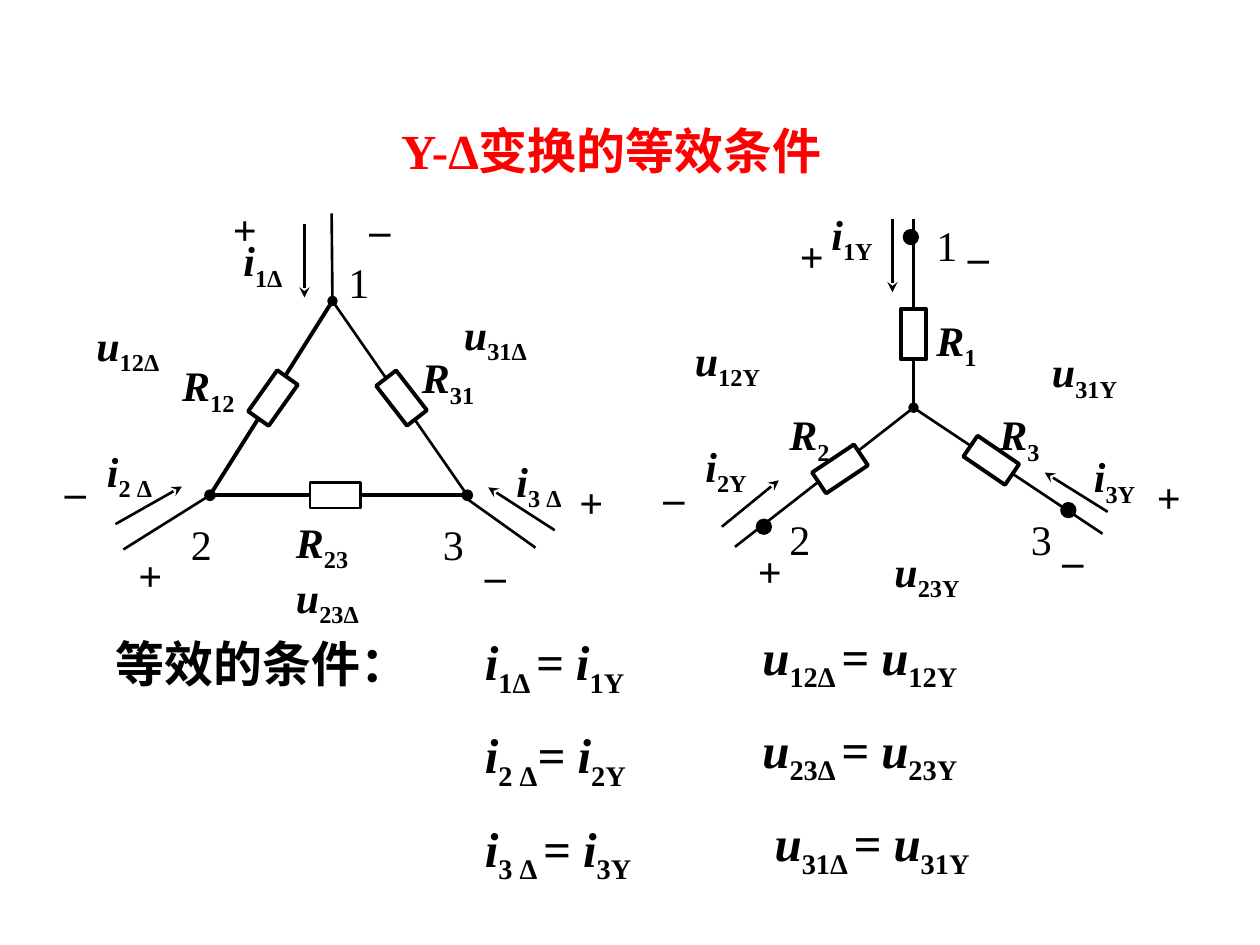
from lxml import etree
from pptx import Presentation
from pptx.dml.color import RGBColor
from pptx.enum.shapes import MSO_CONNECTOR, MSO_SHAPE
from pptx.enum.text import MSO_ANCHOR, PP_ALIGN
from pptx.oxml.ns import qn
from pptx.util import Pt

STRAIGHT = MSO_CONNECTOR.STRAIGHT
RECTANGLE, OVAL = MSO_SHAPE.RECTANGLE, MSO_SHAPE.OVAL
TOP, MIDDLE, LEFT = MSO_ANCHOR.TOP, MSO_ANCHOR.MIDDLE, PP_ALIGN.LEFT

FONT = "Times New Roman"
COLORS = {"ink": "000000", "title": "FF0000", "paper": "FFFFFF"}
TITLE = "Y-Δ变换的等效条件"
CONDITION = "等效的条件："

# Circuit nodes
DELTA_1, DELTA_2, DELTA_3 = (190, 172), (120, 283), (267, 283)
STAR = (522, 233)

# start, end, width, head, tail
WIRES = [
    (DELTA_2, DELTA_3, 2.25, "oval", "oval"),
    (DELTA_3, DELTA_1, 1.5, "oval", "oval"),
    (DELTA_1, DELTA_2, 2.25, None, None),
    (DELTA_1, (189.5, 122), 1.5, None, None),
    (DELTA_2, (70.5, 314), 1.5, None, None),
    ((264, 283), (306, 313), 1.5, None, None),
    ((522, 125), STAR, 1.5, None, "oval"),
    (STAR, (420, 312.5), 1.5, None, None),
    (STAR, (630, 305), 1.5, None, None),
]
CURRENT_ARROWS = [
    ((174, 128), (174, 170)),
    ((66, 299.5), (104, 278)),
    ((317, 303), (279, 278.5)),
    ((510, 125), (510, 167)),
    ((412.5, 301), (445, 274.5)),
    ((633, 292.5), (597, 270)),
]
# centre x, centre y, rotation, outline width
RESISTORS = [
    (191.5, 283, 270, 1.5), (229.5, 227.5, 322.2, 2.25), (156, 227.5, 35.3, 2.25),
    (480, 268, 56.2, 2.25), (566.5, 263, 304.3, 2.25), (522, 191, 0, 2.25),
]
TERMINALS = [(436.5, 301), (520.5, 135.5), (610.5, 291.5)]

# symbol, subscript, left, top
QUANTITIES = [
    ("R", "12", 97, 199.5), ("R", "31", 234, 195), ("R", "23", 162, 289),
    ("i", "1Δ", 132, 128), ("i", "2 Δ", 54, 248.5), ("i", "3 Δ", 288, 254),
    ("u", "12Δ", 48, 176.5), ("u", "23Δ", 162, 320.5), ("u", "31Δ", 258, 170),
    ("R", "1", 528, 173.5), ("R", "2", 444, 227.5), ("R", "3", 564, 227.5),
    ("i", "1Y", 468, 113), ("i", "2Y", 396, 245.5), ("i", "3Y", 618, 251.5),
    ("u", "12Y", 390, 185), ("u", "23Y", 504, 305.5), ("u", "31Y", 594, 191.5),
]
NODE_NUMBERS = [
    ("1", 192, 140.5), ("2", 102, 290), ("3", 246, 290),
    ("1", 528, 119.5), ("2", 444, 287.5), ("3", 582, 287.5),
]
SIGNS = [
    ("+", 126, 110), ("+", 72, 308), ("+", 324, 266.5),
    ("–", 204, 110), ("–", 30, 260), ("–", 270, 308),
    ("+", 450, 125.5), ("+", 426, 305.5), ("+", 654, 263.5),
    ("–", 372, 263.5), ("–", 600, 299.5), ("–", 546, 125.5),
]
# left, top, width, rows of (symbol, delta subscript, star subscript, indent)
EQUATIONS = [
    (270, 355, 125, [("i", "1Δ ", "1Y", 0), ("i", "2 Δ", "2Y", 0), ("i", "3 Δ ", "3Y", 0)]),
    (428.5, 352, 145, [("u", "12Δ ", "12Y", 0), ("u", "23Δ ", "23Y", 0), ("u", "31Δ ", "31Y", 7)]),
]


def style(span, size, color="ink", bold=True, italic=False):
    span.font.name = FONT
    span.font.size = Pt(size)
    span.font.bold = bold
    span.font.italic = italic
    span.font.color.rgb = RGBColor.from_string(COLORS[color])


def add_symbols(para, pieces, size):
    """Alternate italic symbols with upright subscripts."""
    for index, text in enumerate(pieces):
        span = para.add_run()
        span.text = text
        is_subscript = index % 2 == 1
        style(span, size, italic=not is_subscript)
        if is_subscript:
            span._r.get_or_add_rPr().set("baseline", "-25000")


def add_box(page, left, top, width, height=29, wrap=True):
    box = page.shapes.add_textbox(Pt(left), Pt(top), Pt(width), Pt(height))
    box.text_frame.word_wrap = wrap
    box.text_frame.margin_top = Pt(6)
    return box.text_frame


def add_text(page, text, left, top, bold):
    para = add_box(page, left, top, 30).paragraphs[0]
    para.text = text
    style(para.runs[0], 24, bold=bold)


def add_line(page, start, end, width, head=None, tail=None):
    line = page.shapes.add_connector(STRAIGHT, *(Pt(value) for value in start + end))
    line.line.width = Pt(width)
    line.line.color.rgb = RGBColor.from_string(COLORS["ink"])
    outline = line.line._get_or_add_ln()
    for tag, kind in (("a:headEnd", head), ("a:tailEnd", tail)):
        if kind:
            etree.SubElement(outline, qn(tag), type=kind)
    etree.SubElement(line._element.spPr, qn("a:effectLst"))


def add_centred(page, kind, x, y, width, height, fill, outline, rotation=0):
    shape = page.shapes.add_shape(
        kind, Pt(x - width / 2), Pt(y - height / 2), Pt(width), Pt(height))
    shape.rotation = rotation
    shape.shadow.inherit = False
    shape.fill.solid()
    shape.fill.fore_color.rgb = RGBColor.from_string(COLORS[fill])
    shape.line.color.rgb = RGBColor.from_string(COLORS["ink"])
    shape.line.width = Pt(outline)


def add_heading(page):
    title = page.shapes.title
    title.left, title.top, title.width, title.height = Pt(222), Pt(65), Pt(263), Pt(41)
    frame = title.text_frame
    frame.text = TITLE
    frame.word_wrap = False
    frame.vertical_anchor = TOP
    frame.paragraphs[0].alignment = LEFT
    style(frame.paragraphs[0].runs[0], 28, "title")


def add_circuits(page):
    for wire in WIRES:
        add_line(page, *wire)
    for start, end in CURRENT_ARROWS:
        add_line(page, start, end, 1.5, tail="stealth")
    for x, y, rotation, outline in RESISTORS:
        add_centred(page, RECTANGLE, x, y, 14.4, 28.8, "paper", outline, rotation)
    for x, y in TERMINALS:
        add_centred(page, OVAL, x, y, 8.6, 8.6, "ink", 0.75)
    for symbol, subscript, left, top in QUANTITIES:
        para = add_box(page, left, top, 60).paragraphs[0]
        add_symbols(para, (symbol, subscript), 24)
    for labels, bold in ((NODE_NUMBERS, False), (SIGNS, True)):
        for text, left, top in labels:
            add_text(page, text, left, top, bold)


def add_conditions(page):
    frame = add_box(page, 59, 358.5, 184, 41, wrap=False)
    frame.margin_top = Pt(3.6)
    frame.vertical_anchor = MIDDLE
    frame.text = CONDITION
    style(frame.paragraphs[0].runs[0], 28)
    for left, top, width, rows in EQUATIONS:
        frame = add_box(page, left, top, width, 142)
        for index, (symbol, delta, star, indent) in enumerate(rows):
            para = frame.add_paragraph() if index else frame.paragraphs[0]
            if index:
                para.space_before = Pt(15)
            if indent:
                para._p.get_or_add_pPr().set("marL", str(Pt(indent)))
            add_symbols(para, (symbol, delta, "= " + symbol, star), 28)


def main():
    deck = Presentation()
    deck.slide_width, deck.slide_height = Pt(720), Pt(540)
    page = deck.slides.add_slide(deck.slide_layouts[5])
    add_heading(page)
    add_circuits(page)
    add_conditions(page)
    deck.save("out.pptx")


if __name__ == "__main__":
    main()
